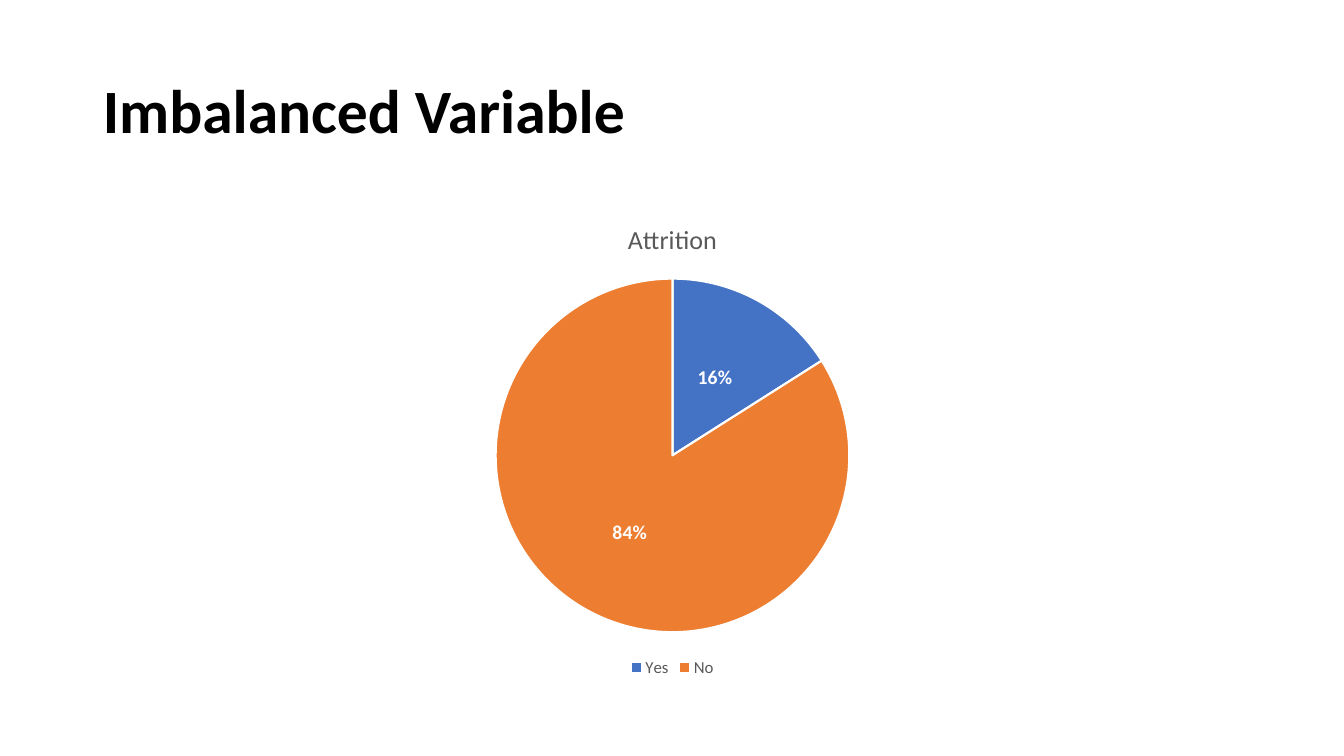
from dataclasses import dataclass

from pptx import Presentation
from pptx.chart.data import CategoryChartData
from pptx.dml.color import RGBColor
from pptx.enum.chart import XL_CHART_TYPE, XL_LABEL_POSITION, XL_LEGEND_POSITION
from pptx.enum.text import MSO_ANCHOR, PP_ALIGN
from pptx.slide import Slide
from pptx.text.text import Font
from pptx.util import Inches, Pt

BLACK = RGBColor(0x00, 0x00, 0x00)
WHITE = RGBColor(0xFF, 0xFF, 0xFF)
GRAY = RGBColor(0x59, 0x59, 0x59)
BLUE = RGBColor(0x44, 0x72, 0xC4)
ORANGE = RGBColor(0xED, 0x7D, 0x31)

LEFT, WIDTH = Inches(0.92), Inches(11.5)


@dataclass(frozen=True)
class Slice:
    answer: str
    share: float
    color: RGBColor


SLICES = [Slice("Yes", 16, BLUE), Slice("No", 84, ORANGE)]


def style_font(font: Font, size: float, color: RGBColor, bold: bool = False) -> None:
    font.name = "Calibri"
    font.size = Pt(size)
    font.bold = bold
    font.color.rgb = color


def add_title(slide: Slide, text: str) -> None:
    title = slide.shapes.title
    title.left, title.top = LEFT, Inches(0.4)
    title.width, title.height = WIDTH, Inches(1.45)
    frame = title.text_frame
    frame.word_wrap = True
    frame.vertical_anchor = MSO_ANCHOR.MIDDLE
    heading = frame.paragraphs[0]
    heading.alignment = PP_ALIGN.LEFT
    heading.line_spacing = 0.9
    run = heading.add_run()
    run.text = text
    style_font(run.font, 44, BLACK, bold=True)


def add_attrition_pie(slide: Slide, name: str, slices: list[Slice]) -> None:
    data = CategoryChartData()
    data.categories = [part.answer for part in slices]
    data.add_series(name, [part.share for part in slices])
    chart = slide.shapes.add_chart(
        XL_CHART_TYPE.PIE, LEFT, Inches(2), WIDTH, Inches(4.76), data
    ).chart
    style_font(chart.font, 10, BLACK)

    chart.has_title = True
    caption = chart.chart_title.text_frame.paragraphs[0].add_run()
    caption.text = name
    style_font(caption.font, 18.6, GRAY)
    chart.chart_title.include_in_layout = False

    chart.has_legend = True
    chart.legend.position = XL_LEGEND_POSITION.BOTTOM
    chart.legend.include_in_layout = False
    style_font(chart.legend.font, 12, GRAY)

    pie = chart.plots[0]
    pie.vary_by_categories = True
    series = pie.series[0]
    for index, part in enumerate(slices):
        wedge = series.points[index].format
        wedge.fill.solid()
        wedge.fill.fore_color.rgb = part.color
        wedge.line.color.rgb = WHITE
        wedge.line.width = Pt(1.5)

    labels = series.data_labels
    labels.show_value = False
    labels.show_percentage = True
    labels.number_format = "0%"
    labels.number_format_is_linked = False
    labels.position = XL_LABEL_POSITION.CENTER
    style_font(labels.font, 14, WHITE, bold=True)


def main() -> None:
    deck = Presentation()
    deck.slide_width, deck.slide_height = Inches(13.33), Inches(7.5)
    slide = deck.slides.add_slide(deck.slide_layouts.get_by_name("Title Only"))
    add_title(slide, "Imbalanced Variable")
    add_attrition_pie(slide, "Attrition", SLICES)
    deck.save("out.pptx")


if __name__ == "__main__":
    main()
